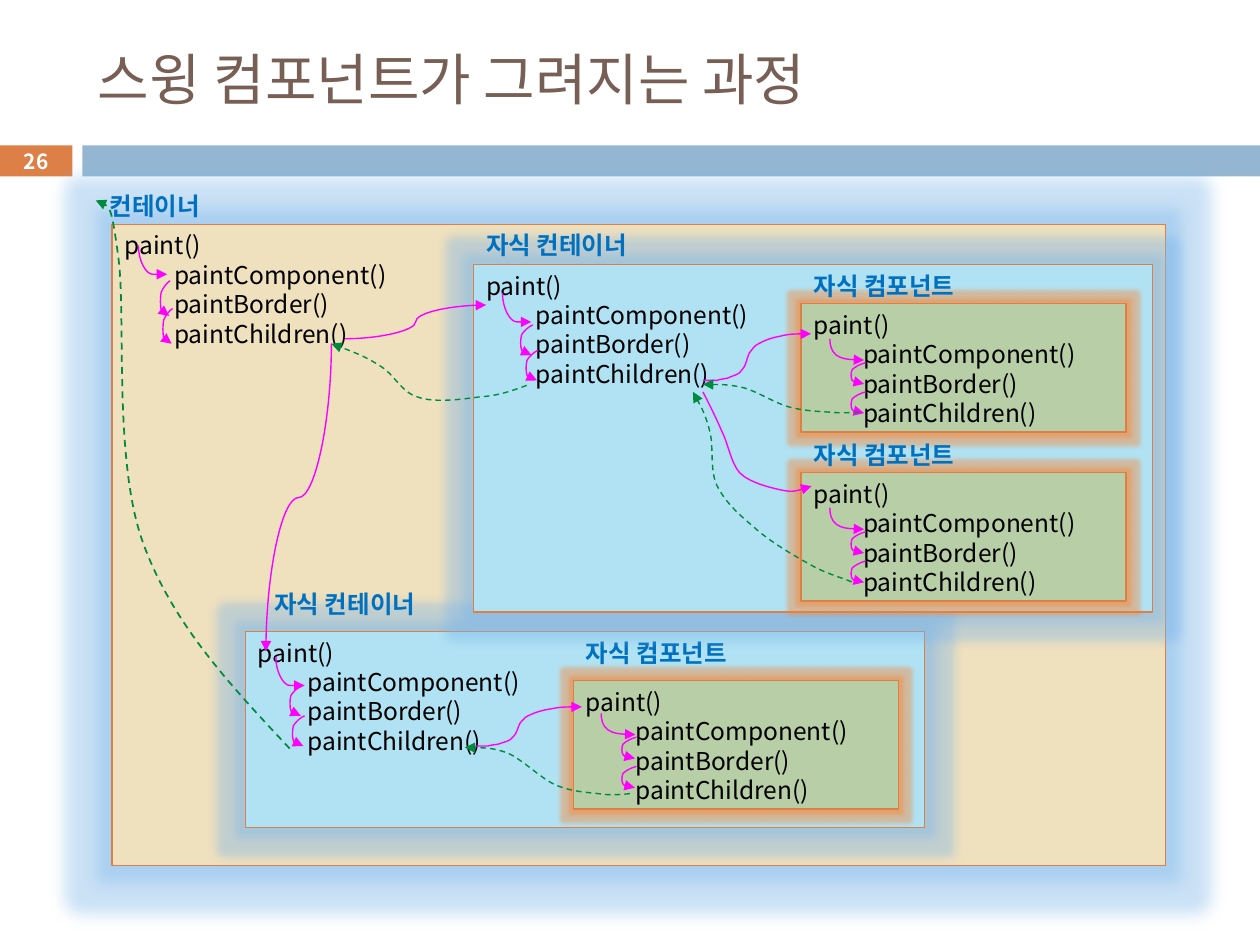
from dataclasses import dataclass

from lxml import etree
from pptx import Presentation
from pptx.dml.color import RGBColor
from pptx.enum.dml import MSO_LINE
from pptx.enum.shapes import MSO_CONNECTOR, MSO_SHAPE
from pptx.enum.text import MSO_ANCHOR, MSO_AUTO_SIZE, PP_ALIGN
from pptx.oxml.ns import qn
from pptx.util import Cm, Pt

RECT, CURVE, DASH = MSO_SHAPE.RECTANGLE, MSO_CONNECTOR.CURVE, MSO_LINE.DASH
TOP, MIDDLE = MSO_ANCHOR.TOP, MSO_ANCHOR.MIDDLE
LEFT, CENTER = PP_ALIGN.LEFT, PP_ALIGN.CENTER


@dataclass(frozen=True)
class Theme:
    font: str = "Noto Sans CJK KR"
    title: str = "775F55"
    orange: str = "DD8047"
    bar: str = "94B6D2"
    white: str = "FFFFFF"
    body: str = "000000"
    label: str = "0070C0"
    call: str = "FF00FF"
    back: str = "008A3E"
    blue_glow: str = "7CB6E9"
    orange_glow: str = "FF7F25"
    title_size: float = 32
    body_size: float = 14
    number_size: float = 11.9
    leading: float = 16.8
    border: float = 0.75
    arrow: float = 0.79
    return_arrow: float = 1


@dataclass(frozen=True)
class Level:
    fill: str
    glow: str
    glow_radius: float
    loop_size: tuple


T = Theme()
ROOT = Level("EFE0BE", T.blue_glow, 18, (0.2, 0.71))
CHILD = Level("B0E2F4", T.blue_glow, 11, (0.25, 0.61))
COMPONENT = Level("B7CEA6", T.orange_glow, 5, (0.3, 0.43))

CALLS = ["paint()", "\tpaintComponent()", "\tpaintBorder()", "\tpaintChildren()"]

# Unit curves: a start point, then three points for each Bezier piece
LOOP = [(0, 0), (-.4, .08), (-.7, .2), (-.9, .33), (-1, .5), (-1, .7),
        (-.9, .83), (-.7, .96), (-.3, .96), (-.1, 1)]
ENTRY = [(0, 0), (0, .3), (.04, .58), (.19, .77), (.36, .95), (.67, 1), (1, 1)]
CALL = [(0, 0), (.03, 0), (.08, 0), (.13, 0), (.16, .03), (.2, .03), (.23, .05),
        (.28, .11), (.33, .11), (.36, .22), (.4, .3), (.41, .51), (.43, .59),
        (.47, .7), (.47, .73), (.51, .78), (.57, .86), (.64, .92), (.72, .95),
        (.8, 1), (.91, 1), (1, 1)]
RETURN = [(0, 0), (.06, -.02), (.12, -.04), (.19, 0), (.27, .03), (.36, .05),
          (.45, .19), (.54, .33), (.65, .74), (.74, .88), (.83, 1), (.92, 1), (1, 1)]

# Curves between panels, in cm from the diagram's corner
CALL_SECOND = [(11.91, 3.38), (12.04, 3.63), (12.17, 3.89), (12.29, 4.17),
               (12.42, 4.42), (12.47, 4.8), (12.65, 5.01), (12.85, 5.21),
               (13.26, 5.31), (13.49, 5.36), (13.74, 5.41), (13.92, 5.34), (14.1, 5.28)]
RETURN_SECOND = [(14.91, 7.21), (14.66, 7.11), (14.38, 7.04), (14.07, 6.86),
                 (13.74, 6.68), (13.23, 6.38), (12.93, 6.1), (12.62, 5.84),
                 (12.35, 5.59), (12.19, 5.26), (12.04, 4.93), (12.14, 4.47),
                 (12.04, 4.14), (11.96, 3.84), (11.84, 3.61), (11.71, 3.38)]
RETURN_CHILD = [(8.36, 3.25), (8.08, 3.35), (7.8, 3.46), (7.42, 3.48), (7.06, 3.53),
                (6.48, 3.61), (6.15, 3.48), (5.82, 3.38), (5.69, 3.02), (5.39, 2.85),
                (5.11, 2.67), (4.78, 2.54), (4.42, 2.41)]
RETURN_ROOT = [(3.58, 10.57), (2.39, 9.3), (1.19, 8.03), (.61, 6.38), (.03, 4.73),
               (.28, 1.83), (.13, .69), (-.02, -.46), (-.18, -.48), (-.33, -.48)]

# Level, box, label, label offset, entry start, loop starts (relative to the box)
PANELS = [
    (ROOT, (0, 0, 21.23, 12.93), "컨테이너", (-.3, -.79),
     (.53, .43), [(1.17, 1.14), (1.22, 1.7)]),
    (CHILD, (2.69, 8.21, 13.69, 3.96), "자식 컨테이너", (.33, -.99),
     (.61, .51), [(1.14, 1.09), (1.19, 1.7)]),
    (COMPONENT, (9.3, 9.2, 6.55, 2.59), "자식 컴포넌트", (0, -.99),
     (.56, .66), [(1.27, 1.14), (1.27, 1.73)]),
    (CHILD, (7.29, .81, 13.69, 7.01), "자식 컨테이너", (0, -.81),
     (.58, .58), [(1.19, 1.22), (1.3, 1.73)]),
    (COMPONENT, (13.89, 1.6, 6.55, 2.59), "자식 컴포넌트", (0, -.79),
     (.58, .71), [(1.3, 1.19), (1.3, 1.78)]),
    (COMPONENT, (13.89, 5.01, 6.55, 2.59), "자식 컴포넌트", (0, -.79),
     (.58, .71), [(1.3, 1.19), (1.3, 1.78)]),
]


def rgb(value):
    return RGBColor.from_string(value)


def shift(origin, points):
    return [(origin[0] + x, origin[1] + y) for x, y in points]


def stretch(start, size, unit_curve):
    return shift(start, [(size[0] * x, size[1] * y) for x, y in unit_curve])


def write(paragraph, text, size, color, bold=False, align=LEFT):
    paragraph.alignment = align
    run = paragraph.add_run()
    run.text = text
    font = run.font
    font.name, font.size, font.bold = T.font, Pt(size), bold
    font.color.rgb = rgb(color)
    etree.SubElement(font._element, qn("a:ea"), typeface=T.font)


def rectangle(slide, box, fill):
    shape = slide.shapes.add_shape(RECT, *map(Cm, box))
    shape.shadow.inherit = False
    shape.fill.solid()
    shape.fill.fore_color.rgb = rgb(fill)
    shape.line.fill.background()
    return shape


def style_arrow(arrow, color, width=T.arrow, dash=None):
    arrow.line.color.rgb = rgb(color)
    arrow.line.width = Pt(width)
    if dash:
        arrow.line.dash_style = dash
    etree.SubElement(arrow.line._get_or_add_ln(), qn("a:tailEnd"), type="triangle")


def curve_arrow(slide, points, color, width=T.arrow, dash=None):
    """Builds an open outline and turns each three points into a Bezier piece."""
    start, *rest = [(Cm(x), Cm(y)) for x, y in points]
    builder = slide.shapes.build_freeform(*start)
    builder.add_line_segments(rest, close=False)
    curve = builder.convert_to_shape()
    curve.shadow.inherit = False
    curve.fill.background()
    segments = list(curve._element.iter(qn("a:lnTo")))
    for i in range(0, len(segments), 3):
        bezier = etree.Element(qn("a:cubicBezTo"))
        segments[i].addprevious(bezier)
        for segment in segments[i:i + 3]:
            bezier.append(segment[0])
            segment.getparent().remove(segment)
    style_arrow(curve, color, width, dash)


def bent_arrow(slide, start, end, vertical=False, bend=0.5):
    """Curved call connector; a vertical one is a turned horizontal one."""
    (x1, y1), (x2, y2) = start, end
    turn = 0
    if vertical:
        cx, cy, side = (x1 + x2) / 2, (y1 + y2) / 2, 1 if x2 < x1 else -1
        dx, dy = side * (y2 - y1) / 2, side * (x1 - x2) / 2
        x1, y1, x2, y2 = cx - dx, cy - dy, cx + dx, cy + dy
        turn = 90 if side == 1 else 270
    arrow = slide.shapes.add_connector(CURVE, *map(Cm, (x1, y1, x2, y2)))
    properties = arrow._element.spPr
    if turn:
        properties.find(qn("a:xfrm")).set("rot", str(turn * 60000))
    guides = properties.find(qn("a:prstGeom")).find(qn("a:avLst"))
    etree.SubElement(guides, qn("a:gd"), name="adj1", fmla=f"val {round(bend * 100000)}")
    style_arrow(arrow, T.call)
    etree.SubElement(properties, qn("a:effectLst"))


def header(slide, box, title, number):
    left, top, width, height = box
    # Number tab and bar
    tab = rectangle(slide, (left, top + 2.29, 1.46, height - 2.29), T.orange)
    rectangle(slide, (left + 1.66, top + 2.29, width - 1.66, height - 2.29), T.bar)
    tab.text_frame.vertical_anchor = MIDDLE
    tab.text_frame.margin_top = tab.text_frame.margin_bottom = 0
    write(tab.text_frame.paragraphs[0], number, T.number_size, T.white, True, CENTER)
    # Title
    heading = slide.shapes.title
    heading.left, heading.top = Cm(left + 1.72), Cm(top)
    heading.width, heading.height = Cm(22.66), Cm(1.88)
    heading.text_frame.auto_size = MSO_AUTO_SIZE.NONE
    heading.text_frame.vertical_anchor = MIDDLE
    write(heading.text_frame.paragraphs[0], title, T.title_size, T.title)


def panel(slide, box, level, label, label_offset, entry, loops):
    corner = box[:2]
    # Glowing box with its list of calls
    body = rectangle(slide, box, level.fill)
    body.line.color.rgb = rgb(T.orange)
    body.line.width = Pt(T.border)
    effects = body._element.spPr.find(qn("a:effectLst"))
    glow = etree.SubElement(effects, qn("a:glow"), rad=str(Pt(level.glow_radius)))
    tint = etree.SubElement(glow, qn("a:srgbClr"), val=level.glow)
    etree.SubElement(tint, qn("a:alpha"), val="40000")
    frame = body.text_frame
    frame.vertical_anchor = TOP
    for i, call in enumerate(CALLS):
        paragraph = frame.add_paragraph() if i else frame.paragraphs[0]
        paragraph.line_spacing = Pt(T.leading)
        tabs = etree.SubElement(paragraph._p.get_or_add_pPr(), qn("a:tabLst"))
        etree.SubElement(tabs, qn("a:tab"), pos=str(Cm(1)), algn="l")
        write(paragraph, call, T.body_size, T.body)
    # Arrows from each call to the next
    start, = shift(corner, [entry])
    if level is COMPONENT:
        curve_arrow(slide, stretch(start, (.69, .43), ENTRY), T.call)
    else:
        bent_arrow(slide, start, (start[0] + .58, start[1] + .58), True, 1)
    for loop in shift(corner, loops):
        curve_arrow(slide, stretch(loop, level.loop_size, LOOP), T.call)
    # Label
    (x, y), = shift(corner, [label_offset])
    caption = slide.shapes.add_textbox(Cm(x), Cm(y), Cm(3.8), Cm(.86)).text_frame
    caption.word_wrap = False
    caption.paragraphs[0].line_spacing = Pt(T.leading)
    write(caption.paragraphs[0], label, T.body_size, T.label, True)


def paint_diagram(slide, origin):
    for level, box, *parts in PANELS:
        panel(slide, shift(origin, [box[:2]])[0] + box[2:], level, *parts)
    # Calls into child panels
    bent_arrow(slide, *shift(origin, [(4.7, 2.31), (7.54, 1.63)]))
    bent_arrow(slide, *shift(origin, [(4.42, 2.41), (3.1, 8.61)]), vertical=True)
    for points in (stretch((11.91, 3.15), (2.18, -.94), CALL), CALL_SECOND,
                   stretch((7.29, 10.52), (2.18, -.79), CALL)):
        curve_arrow(slide, shift(origin, points), T.call)
    # Returns to the caller
    for points in (stretch((15.06, 3.79), (-3.15, -.56), RETURN), RETURN_SECOND,
                   stretch((10.44, 11.48), (-3.33, -.93), RETURN), RETURN_CHILD):
        curve_arrow(slide, shift(origin, points), T.back, dash=DASH)
    curve_arrow(slide, shift(origin, RETURN_ROOT), T.back, T.return_arrow, DASH)


def main():
    deck = Presentation()
    deck.slide_width, deck.slide_height = Cm(25.4), Cm(19.05)
    slide = deck.slides.add_slide(deck.slide_layouts[5])
    header(slide, (0, .64, 25.4, 2.92), "스윙 컴포넌트가 그려지는 과정", "26")
    paint_diagram(slide, (2.26, 4.52))
    deck.save("out.pptx")


if __name__ == "__main__":
    main()
